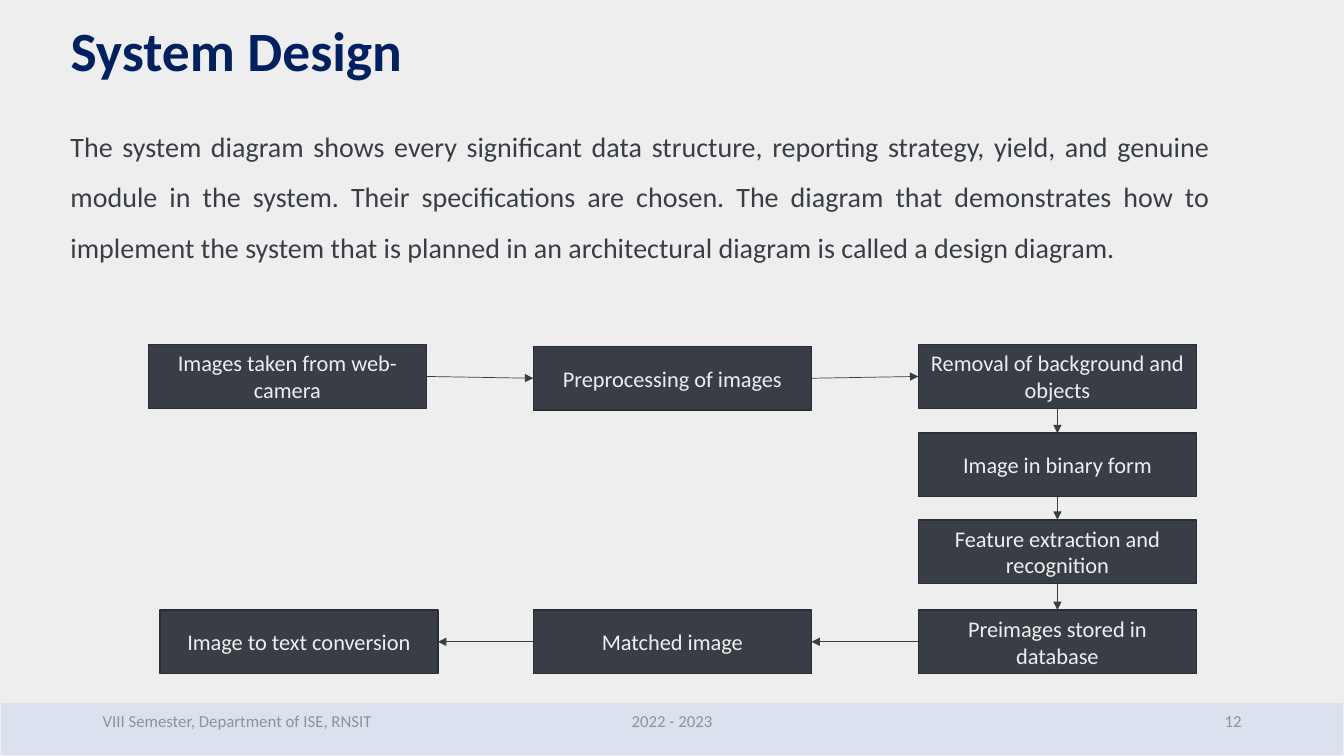
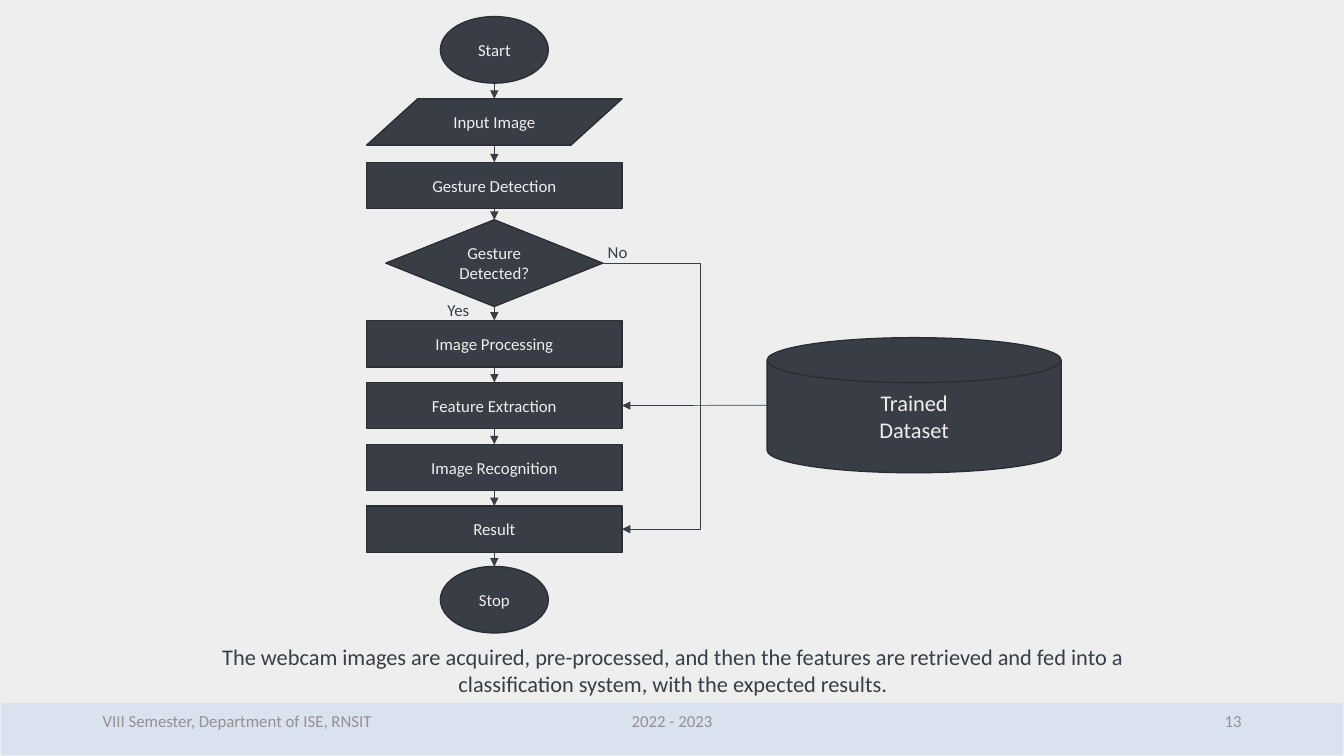
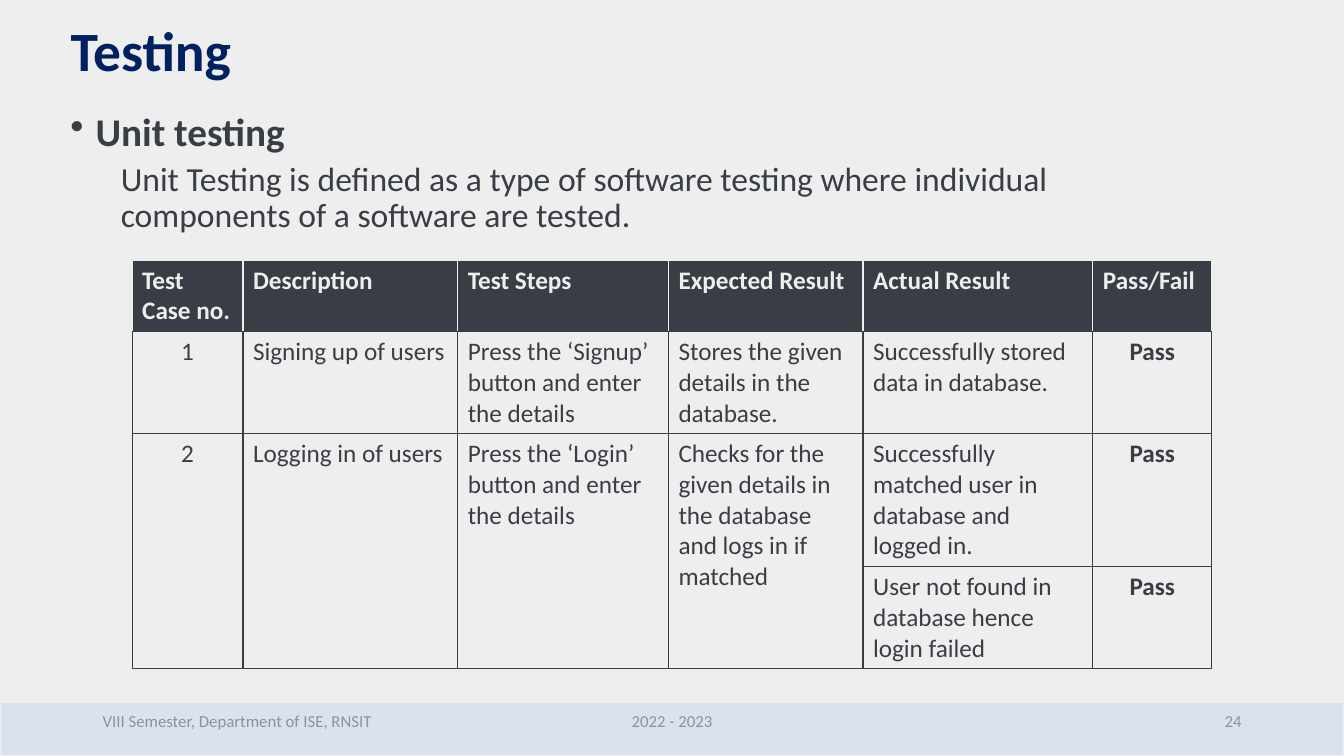
"""Build three slides on the design and testing of a gesture recognition system."""
from dataclasses import dataclass
from itertools import pairwise
from typing import NamedTuple

from lxml.etree import SubElement
from pptx import Presentation
from pptx.dml.color import RGBColor
from pptx.enum.shapes import MSO_CONNECTOR, MSO_SHAPE
from pptx.enum.text import MSO_ANCHOR, MSO_AUTO_SIZE, PP_ALIGN
from pptx.oxml.ns import qn
from pptx.util import Inches, Pt

WIDTH, HEIGHT = Inches(13.33), Inches(7.5)
FONT = "Calibri"
PAPER, INK, EDGE = "EEEEEE", "393E46", "2A2E34"
NAVY, BAND, GREY = "002060", "DBE2EF", "909294"
LEFT, CENTER, RIGHT = PP_ALIGN.LEFT, PP_ALIGN.CENTER, PP_ALIGN.RIGHT
TITLE_ONLY, BLANK = 5, 6


class Box(NamedTuple):
    """An area in percent of the slide's width and height."""
    x: float
    y: float
    w: float
    h: float

    @property
    def top(self):
        return self.x + self.w / 2, self.y

    @property
    def bottom(self):
        return self.x + self.w / 2, self.y + self.h

    @property
    def left(self):
        return self.x, self.y + self.h / 2

    @property
    def right(self):
        return self.x + self.w, self.y + self.h / 2


class Style(NamedTuple):
    size: float
    color: str = INK
    bold: bool = False
    align: PP_ALIGN = LEFT
    spacing: float | None = None
    before: float = 0


@dataclass
class Node:
    text: str
    col: float
    row: float

    @property
    def box(self) -> Box:
        return Box(11.03 + 28.65 * self.col, 45.6 + 11.7 * self.row, 20.7, 8.4)


class Form(NamedTuple):
    shape: MSO_SHAPE
    w: float
    h: float


TERMINAL = Form(MSO_SHAPE.OVAL, 8.03, 8.8)
DATA = Form(MSO_SHAPE.FLOWCHART_DATA, 19, 6.13)
PROCESS = Form(MSO_SHAPE.FLOWCHART_PROCESS, 19, 6.13)
DECISION = Form(MSO_SHAPE.FLOWCHART_DECISION, 16.13, 11.47)


@dataclass
class Step:
    text: str
    form: Form
    top: float

    @property
    def box(self) -> Box:
        return Box(36.78 - self.form.w / 2, self.top, self.form.w, self.form.h)


TITLE_BOX = Box(4.5, 2.4, 86.25, 10.13)
BODY_BOX = Box(4.5, 14.27, 86.25, 73.47)
TITLE_STYLE = Style(39.6, NAVY, bold=True, spacing=0.9)

PIPELINE = [
    Node("Images taken from web-camera", 0, 0),
    Node("Preprocessing of images", 1, 0.02),
    Node("Removal of background and objects", 2, 0),
    Node("Image in binary form", 2, 1),
    Node("Feature extraction and recognition", 2, 1.98),
    Node("Preimages stored in database", 2, 3),
    Node("Matched image", 1, 3),
    Node("Image to text conversion", 0.03, 3),
]

STAGES = ["Image Processing", "Feature Extraction", "Image Recognition", "Result"]
FLOW = [
    Step("Start", TERMINAL, 2.2),
    Step("Input Image", DATA, 13.07),
    Step("Gesture Detection", PROCESS, 21.47),
    Step("Gesture Detected?", DECISION, 29.07),
    *(Step(text, PROCESS, 42.4 + 8.18 * i) for i, text in enumerate(STAGES)),
    Step("Stop", TERMINAL, 74.93),
]

COLUMNS = [8.25, 15.98, 15.68, 14.48, 17.1, 8.85]
ROWS = [9.47, 13.47, 17.6, 13.47]
CASES = [
    ["Test Case no.", "Description", "Test Steps", "Expected Result", "Actual Result", "Pass/Fail"],
    ["1", "Signing up of users", "Press the ‘Signup’ button and enter the details",
     "Stores the given details in the database.", "Successfully stored data in database.", "Pass"],
    ["2", "Logging in of users", "Press the ‘Login’ button and enter the details",
     "Checks for the given details in the database and logs in if matched",
     "Successfully matched user in database and logged in.", "Pass"],
    ["", "", "", "", "User not found in database hence login failed", "Pass"],
]


def rgb(color: str) -> RGBColor:
    return RGBColor.from_string(color)


def across(share: float) -> int:
    return round(WIDTH * share / 100)


def down(share: float) -> int:
    return round(HEIGHT * share / 100)


def area(box: Box) -> tuple[int, int, int, int]:
    return across(box.x), down(box.y), across(box.w), down(box.h)


def write(p, text: str, style: Style) -> None:
    p.alignment = style.align
    p.space_before = Pt(style.before)
    if style.spacing:
        p.line_spacing = style.spacing
    r = p.add_run()
    r.text = text
    r.font.name = FONT
    r.font.size = Pt(style.size)
    r.font.bold = style.bold
    r.font.color.rgb = rgb(style.color)


def add_text(s, box: Box, text: str, style: Style, anchor=MSO_ANCHOR.TOP):
    tf = s.shapes.add_textbox(*area(box)).text_frame
    tf.word_wrap = True
    tf.vertical_anchor = anchor
    write(tf.paragraphs[0], text, style)
    return tf


def add_block(s, shape: MSO_SHAPE, box: Box, lines: list[str], size: float = 12,
              fill: str = INK, edge: str = EDGE) -> None:
    sp = s.shapes.add_shape(shape, *area(box))
    sp.shadow.inherit = False
    sp.fill.solid()
    sp.fill.fore_color.rgb = rgb(fill)
    sp.line.color.rgb = rgb(edge)
    sp.line.width = Pt(1)
    tf = sp.text_frame
    tf.word_wrap = True
    tf.vertical_anchor = MSO_ANCHOR.MIDDLE
    for i, line in enumerate(lines):
        p = tf.add_paragraph() if i else tf.paragraphs[0]
        write(p, line, Style(size, PAPER, align=CENTER))


def add_arrow(s, start: tuple, end: tuple, bend_x: float | None = None) -> None:
    kind = MSO_CONNECTOR.STRAIGHT if bend_x is None else MSO_CONNECTOR.ELBOW
    c = s.shapes.add_connector(kind, across(start[0]), down(start[1]), across(end[0]), down(end[1]))
    c.line.color.rgb = rgb(INK)
    c.line.width = Pt(0.5)
    props = c._element.spPr
    SubElement(props.find(qn("a:ln")), qn("a:tailEnd"), type="triangle")
    SubElement(props, qn("a:effectLst"))
    if bend_x is not None:
        share = (bend_x - start[0]) / (end[0] - start[0])
        guides = props.find(qn("a:prstGeom")).find(qn("a:avLst"))
        SubElement(guides, qn("a:gd"), name="adj1", fmla=f"val {round(share * 100000)}")


def add_slide(prs, number: int, title: str = ""):
    s = prs.slides.add_slide(prs.slide_layouts[TITLE_ONLY if title else BLANK])
    add_block(s, MSO_SHAPE.RECTANGLE, Box(0, 92.93, 100, 7.07), [], fill=BAND, edge=PAPER)
    if title:
        sp = s.shapes.title
        sp.left, sp.top, sp.width, sp.height = area(TITLE_BOX)
        sp.text_frame.auto_size = MSO_AUTO_SIZE.NONE
        sp.text_frame.vertical_anchor = MSO_ANCHOR.TOP
        write(sp.text_frame.paragraphs[0], title, TITLE_STYLE)
    footers = [
        (6.9, 26.25, "VIII Semester, Department of ISE, RNSIT", LEFT),
        (33.13, 33.75, "2022 - 2023", CENTER),
        (70.63, 22.5, str(number), RIGHT),
    ]
    for x, w, text, align in footers:
        add_text(s, Box(x, 92.67, w, 5.33), text, Style(12, GREY, align=align), MSO_ANCHOR.MIDDLE)
    return s


def link(start: Box, end: Box) -> tuple[tuple, tuple]:
    if start.y + start.h <= end.y:
        return start.bottom, end.top
    return (start.right, end.left) if start.x < end.x else (start.left, end.right)


def indent(p, margin: float, first: float, bullet: str = "") -> None:
    props = p._p.get_or_add_pPr()
    props.set("marL", str(Inches(margin)))
    props.set("indent", str(Inches(first)))
    if bullet:
        SubElement(props, qn("a:buChar"), char=bullet)
    else:
        SubElement(props, qn("a:buNone"))


def set_borders(cell, colors: dict[str, str]) -> None:
    props = cell._tc.get_or_add_tcPr()
    for side, color in colors.items():
        ln = SubElement(props, qn(f"a:ln{side}"), w=str(Pt(1)))
        SubElement(SubElement(ln, qn("a:solidFill")), qn("a:srgbClr"), val=color)


def add_cases(s) -> None:
    box = Box(9.83, 34.4, sum(COLUMNS), sum(ROWS))
    table = s.shapes.add_table(len(ROWS), len(COLUMNS), *area(box)).table
    table.first_row = table.horz_banding = False
    for column, share in zip(table.columns, COLUMNS):
        column.width = across(share)
    for row, share in zip(table.rows, ROWS):
        row.height = down(share)
    for i, texts in enumerate(CASES):
        header = i == 0
        side = PAPER if header else INK
        for j, text in enumerate(texts):
            cell = table.cell(i, j)
            set_borders(cell, {"L": side, "R": side, "T": side, "B": INK})
            if header:
                cell.fill.solid()
                cell.fill.fore_color.rgb = rgb(INK)
            else:
                cell.fill.background()
            if text:
                last = j == len(COLUMNS) - 1
                align = CENTER if not header and (j == 0 or last) else LEFT
                style = Style(18, PAPER if header else INK, header or last, align)
                write(cell.text_frame.paragraphs[0], text, style)
    for j in range(4):
        table.cell(2, j).merge(table.cell(3, j))


def build_design(prs) -> None:
    s = add_slide(prs, 12, "System Design")
    add_text(s, BODY_BOX,
             "The system diagram shows every significant data structure, reporting strategy, yield, "
             "and genuine module in the system. Their specifications are chosen. The diagram that "
             "demonstrates how to implement the system that is planned in an architectural diagram "
             "is called a design diagram.",
             Style(20, align=PP_ALIGN.JUSTIFY, spacing=1.5))
    for node in PIPELINE:
        add_block(s, MSO_SHAPE.FLOWCHART_PROCESS, node.box, [node.text], 16)
    for a, b in pairwise(PIPELINE):
        add_arrow(s, *link(a.box, b.box))


def build_flow(prs) -> None:
    s = add_slide(prs, 13)
    add_text(s, Box(14.93, 84.4, 70.28, 12.53),
             "The webcam images are acquired, pre-processed, and then the features are retrieved "
             "and fed into a classification system, with the expected results.",
             Style(16, align=CENTER))
    for step in FLOW:
        add_block(s, step.form.shape, step.box, [step.text])
    for a, b in pairwise(FLOW):
        add_arrow(s, *link(a.box, b.box))
    boxes = {step.text: step.box for step in FLOW}
    dataset = Box(57.08, 44.67, 21.88, 17.87)
    add_block(s, MSO_SHAPE.FLOWCHART_MAGNETIC_DISK, dataset, ["Trained", "Dataset"], 16)
    add_arrow(s, dataset.left, boxes["Feature Extraction"].right)
    add_arrow(s, boxes["Gesture Detected?"].right, boxes["Result"].right, bend_x=52.08)
    for text, x, y in [("Yes", 32.55, 38.93), ("No", 44.48, 31.33)]:
        add_text(s, Box(x, y, 3.53, 4), text, Style(12))


def build_testing(prs) -> None:
    s = add_slide(prs, 24, "Testing")
    tf = add_text(s, BODY_BOX, "Unit testing", Style(28, bold=True, spacing=0.9))
    indent(tf.paragraphs[0], 0.25, -0.25, "•")
    p = tf.add_paragraph()
    p.level = 1
    write(p, "Unit Testing is defined as a type of software testing where individual "
             "components of a software are tested.", Style(24, spacing=0.9, before=5))
    indent(p, 0.5, 0)
    add_cases(s)


def main() -> None:
    prs = Presentation()
    prs.slide_width, prs.slide_height = WIDTH, HEIGHT
    background = prs.slide_master.background.fill
    background.solid()
    background.fore_color.rgb = rgb(PAPER)
    build_design(prs)
    build_flow(prs)
    build_testing(prs)
    prs.save("out.pptx")


if __name__ == "__main__":
    main()
